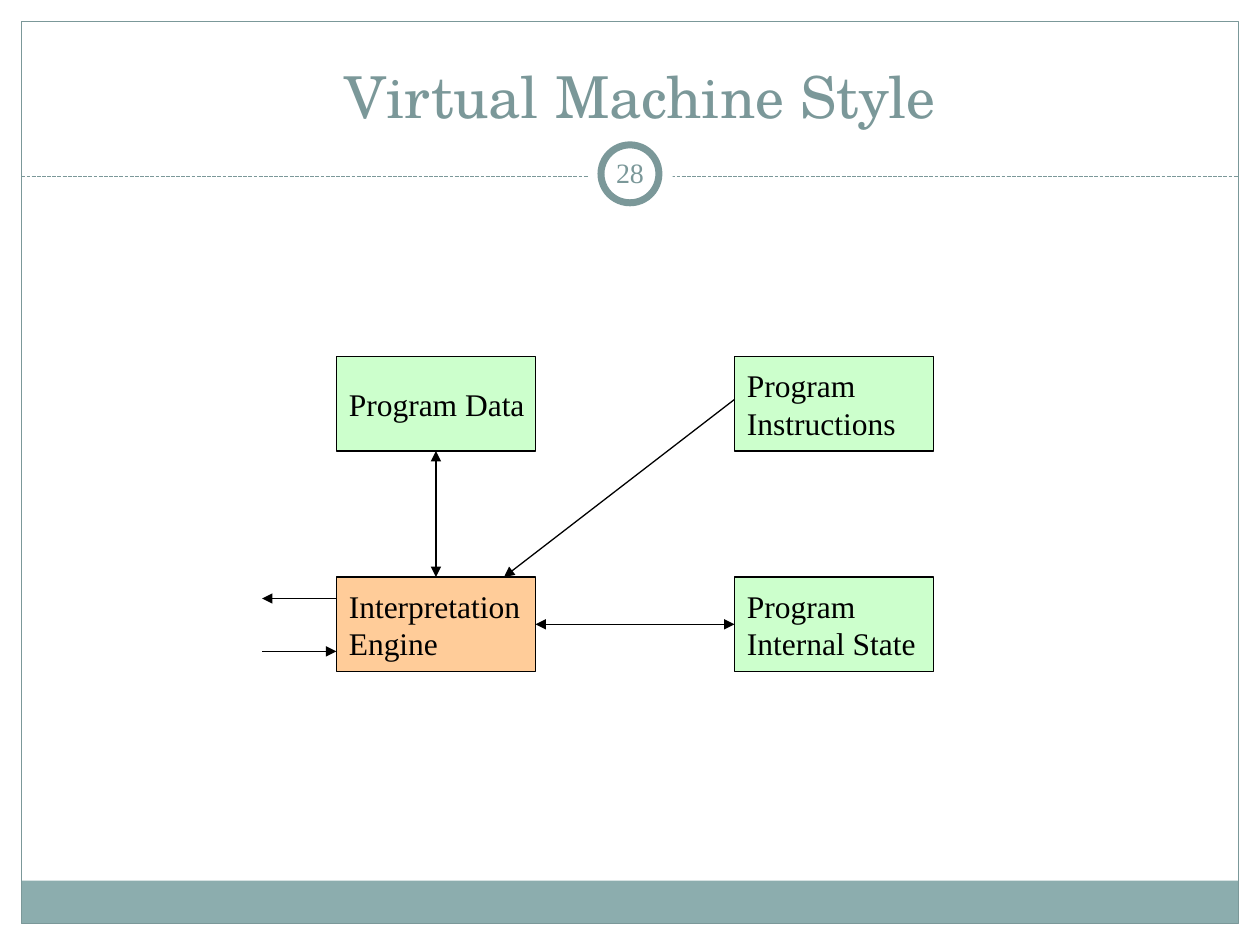
from lxml.etree import SubElement
from pptx import Presentation
from pptx.dml.color import RGBColor
from pptx.enum.dml import MSO_LINE_DASH_STYLE as Dash
from pptx.enum.shapes import MSO_CONNECTOR as Connector, MSO_SHAPE as Shape
from pptx.enum.text import MSO_ANCHOR as Anchor, MSO_AUTO_SIZE as AutoSize, PP_ALIGN as Align
from pptx.oxml.ns import qn
from pptx.util import Inches, Pt

TEAL, BLACK, WHITE = "7B9899", "000000", "FFFFFF"
GREEN, ORANGE = "CCFFCC", "FFCC99"
SERIF = "Times New Roman"
COLUMNS, ROWS = (2.67, 5.83), (2.83, 4.58)
BOX_WIDTH, BOX_HEIGHT = 1.58, 0.75
MARGIN = 0.17


def color(hex_string):
    return RGBColor.from_string(hex_string)


def set_line(line, hex_string, width=0.75):
    line.color.rgb = color(hex_string)
    line.width = Pt(width)


def add_shape(slide, kind, left, top, width, height, fill=None, line=None, line_width=0.75):
    shape = slide.shapes.add_shape(kind, *map(Inches, (left, top, width, height)))
    shape.shadow.inherit = False
    if fill:
        shape.fill.solid()
        shape.fill.fore_color.rgb = color(fill)
    else:
        shape.fill.background()
    if line:
        set_line(shape.line, line, line_width)
    else:
        shape.line.fill.background()
    return shape


def add_line(slide, start, end, line_color=BLACK, arrows=()):
    points = map(Inches, (*start, *end))
    connector = slide.shapes.add_connector(Connector.STRAIGHT, *points)
    set_line(connector.line, line_color)
    for arrow in arrows:
        SubElement(connector.line._get_or_add_ln(), qn(f"a:{arrow}"), type="triangle")
    SubElement(connector._element.spPr, qn("a:effectLst"))
    return connector


def set_text(shape, text, size, font, text_color, align, anchor=Anchor.MIDDLE):
    frame = shape.text_frame
    frame.text = text
    frame.vertical_anchor = anchor
    frame.auto_size = AutoSize.NONE
    for paragraph in frame.paragraphs:
        paragraph.alignment = align
        paragraph.font.size = Pt(size)
        paragraph.font.name = font
        paragraph.font.color.rgb = color(text_color)
    return frame


def add_box(slide, column, row, text, fill=GREEN):
    box = add_shape(slide, Shape.RECTANGLE, COLUMNS[column], ROWS[row],
                    BOX_WIDTH, BOX_HEIGHT, fill, BLACK)
    set_text(box, text, 18, SERIF, BLACK, Align.LEFT).word_wrap = False


def add_frame(slide):
    right, width = 10 - MARGIN, 10 - 2 * MARGIN
    add_shape(slide, Shape.RECTANGLE, MARGIN, 6.99, width, 0.34, "8CADAE")
    add_shape(slide, Shape.RECTANGLE, MARGIN, MARGIN, width, 7.5 - 2 * MARGIN, line=TEAL)
    divider = add_line(slide, (MARGIN, 1.4), (right, 1.4), TEAL)
    divider.line.dash_style = Dash.SQUARE_DOT


def add_page_number(slide, number):
    add_shape(slide, Shape.OVAL, 4.67, 1.05, 0.67, 0.67, WHITE)
    add_shape(slide, Shape.OVAL, 4.77, 1.15, 0.46, 0.46, WHITE, TEAL, 4)
    label = slide.shapes.add_textbox(*map(Inches, (4.75, 1.13, 0.5, 0.48)))
    frame = set_text(label, number, 16, SERIF, TEAL, Align.CENTER)
    frame.word_wrap = True
    frame.margin_left = frame.margin_right = Inches(0.05)


def set_title(slide, text):
    title = slide.shapes.title
    title.left, title.top, title.width, title.height = map(Inches, (0.83, 0.33, 8.5, 0.75))
    set_text(title, text, 33, "TeX Gyre Schola", TEAL, Align.CENTER, Anchor.BOTTOM)


def add_diagram(slide):
    add_box(slide, 0, 0, "Program Data")
    add_box(slide, 1, 0, "Program\nInstructions")
    add_box(slide, 0, 1, "Interpretation\nEngine", ORANGE)
    add_box(slide, 1, 1, "Program\nInternal State")

    left, right = COLUMNS
    top, bottom = ROWS
    center = left + BOX_WIDTH / 2
    middle = bottom + BOX_HEIGHT / 2
    outside = 2.08
    both, forward = ("headEnd", "tailEnd"), ("tailEnd",)
    add_line(slide, (center, top + BOX_HEIGHT), (center, bottom), arrows=both)
    add_line(slide, (right, middle), (left + BOX_WIDTH, middle), arrows=both)
    add_line(slide, (right, 3.17), (4, bottom), arrows=forward)
    add_line(slide, (left, 4.75), (outside, 4.75), arrows=forward)
    add_line(slide, (outside, 5.17), (left, 5.17), arrows=forward)


def main():
    presentation = Presentation()
    presentation.slide_width, presentation.slide_height = Inches(10), Inches(7.5)
    slide = presentation.slides.add_slide(presentation.slide_layouts[5])
    add_frame(slide)
    add_page_number(slide, "28")
    set_title(slide, "Virtual Machine Style")
    add_diagram(slide)
    presentation.save("out.pptx")


if __name__ == "__main__":
    main()
